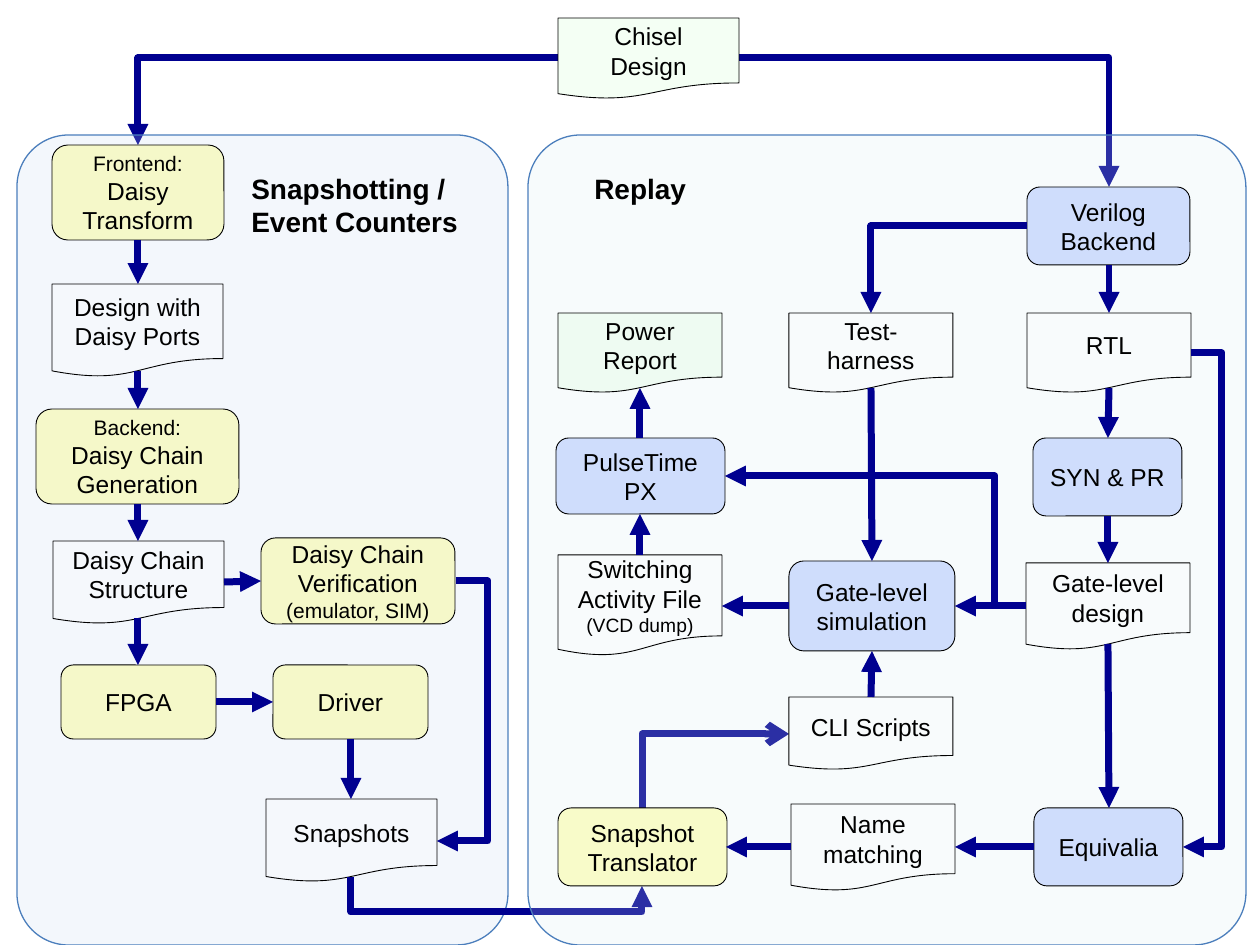
import pptx
import pptx.util
import pptx.dml.color
import pptx.enum.shapes
import pptx.enum.text
import pptx.oxml
import pptx.oxml.ns

EMU_PER_PIXEL = 914400 / 126
SHAPES = pptx.enum.shapes.MSO_SHAPE
ALIGN = pptx.enum.text.PP_ALIGN
ANCHOR = pptx.enum.text.MSO_ANCHOR
YELLOW, BLUE, GREEN, WHITE = "FFFF00", "3366FF", "CCFFCC", "FFFFFF"


def px(length):
    """Turn pixels into EMU."""
    return pptx.util.Emu(round(length * EMU_PER_PIXEL))


def rgb(value):
    """Turn a hex string into a colour."""
    return pptx.dml.color.RGBColor.from_string(value)


def add_xml(parent, tag, **attributes):
    """Append a drawing element with attributes."""
    element = pptx.oxml.parse_xml(f"<a:{tag} {pptx.oxml.ns.nsdecls('a')}/>")
    for key, value in attributes.items():
        element.set(key, str(value))
    parent.append(element)


def write(frame, text, size=14, sizes=None, bold=False, align=ALIGN.CENTER,
          anchor=ANCHOR.MIDDLE):
    """Fill a text frame, one paragraph per line."""
    frame.word_wrap = True
    frame.vertical_anchor = anchor
    lines = text.split("\n")
    for index, line in enumerate(lines):
        paragraph = frame.paragraphs[0] if index == 0 else frame.add_paragraph()
        paragraph.alignment = align
        run = paragraph.add_run()
        run.text = line
        run.font.name = "Arial"
        run.font.size = pptx.util.Pt(sizes[index] if sizes else size)
        run.font.bold = bold
        run.font.color.rgb = rgb("000000")


class FlowSlide:
    """Style and current slide of the flow chart."""

    def __init__(self, slide):
        """Keep the slide and the shared style."""
        self.shapes = slide.shapes
        self.flow_color, self.flow_width = "000090", 4

    def tinted(self, preset, box, fill, line, width):
        """Add an outlined shape with a translucent fill."""
        shape = self.shapes.add_shape(preset, *map(px, box))
        shape.shadow.inherit = False
        shape.fill.solid()
        shape.fill.fore_color.rgb = rgb(fill)
        color = shape._element.spPr.find(".//" + pptx.oxml.ns.qn("a:srgbClr"))
        add_xml(color, "alpha", val=20000)
        shape.line.color.rgb = rgb(line)
        shape.line.width = pptx.util.Pt(width)
        return shape

    def panel(self, box, fill, rounding):
        """Add a large rounded stage panel."""
        shape = self.tinted(SHAPES.ROUNDED_RECTANGLE, box, fill, "4B7EBC", 0.75)
        shape.adjustments[0] = rounding

    def step(self, box, text, fill, sizes=None):
        """Add a rounded processing step."""
        shape = self.tinted(SHAPES.ROUNDED_RECTANGLE, box, fill, "000000", 0.5)
        write(shape.text_frame, text, sizes=sizes)

    def document(self, box, text, fill=WHITE, sizes=None):
        """Add a document produced by a step."""
        shape = self.tinted(SHAPES.FLOWCHART_DOCUMENT, box, fill, "000000", 0.5)
        write(shape.text_frame, text, sizes=sizes)

    def heading(self, box, text):
        """Add a panel heading."""
        label = self.shapes.add_textbox(*map(px, box))
        write(label.text_frame, text, size=16, bold=True, align=ALIGN.LEFT,
              anchor=ANCHOR.TOP)

    def flow(self, *points, head="triangle"):
        """Add an arrow through two to four right-angled points."""
        (x1, y1), (x2, y2) = points[0], points[-1]
        bent = len(points) > 2
        upright = bent and points[1][0] == x1
        kind = pptx.enum.shapes.MSO_CONNECTOR
        begin_end = (x1, y1, x2, y2)
        if upright:
            cx, cy, dx, dy = (x1 + x2) / 2, (y1 + y2) / 2, x2 - x1, y2 - y1
            begin_end = (cx - dy / 2, cy + dx / 2, cx + dy / 2, cy - dx / 2)
        arrow = self.shapes.add_connector(
            kind.ELBOW if bent else kind.STRAIGHT, *map(px, begin_end))
        properties = arrow._element.spPr
        if upright:
            properties.find(pptx.oxml.ns.qn("a:xfrm")).set("rot", "5400000")
        geometry = properties.find(pptx.oxml.ns.qn("a:prstGeom"))
        if len(points) == 3:
            geometry.set("prst", "bentConnector2")
        elif len(points) == 4:
            axis = 1 if upright else 0
            start, turn, stop = points[0][axis], points[1][axis], points[-1][axis]
            guides = geometry.find(pptx.oxml.ns.qn("a:avLst"))
            ratio = round((turn - start) / (stop - start) * 100000)
            add_xml(guides, "gd", name="adj1", fmla=f"val {ratio}")
        arrow.line.color.rgb = rgb(self.flow_color)
        arrow.line.width = pptx.util.Pt(self.flow_width)
        add_xml(arrow.line._get_or_add_ln(), "tailEnd", type=head)
        add_xml(properties, "effectLst")


presentation = pptx.Presentation()
presentation.slide_width, presentation.slide_height = px(1260), px(945)
chart = FlowSlide(presentation.slides.add_slide(presentation.slide_layouts[6]))

chart.flow((739, 58), (1109, 58), (1109, 187))
chart.flow((558, 58), (138, 58), (138, 145))
chart.document((558, 18, 181, 81), "Chisel\nDesign", GREEN)
chart.flow((642, 808), (642, 734), (789, 734), head="arrow")

chart.panel((17, 135, 491, 810), "C6D9F1", 0.105)
chart.heading((239, 165, 244, 81), "Snapshotting / Event Counters")
for box, text, sizes in (
        ((52, 145, 172, 95), "Frontend:\nDaisy Transform", (12, 14)),
        ((36, 409, 203, 95), "Backend:\nDaisy Chain Generation", (12, 14)),
        ((261, 538, 194, 86), "Daisy Chain Verification\n(emulator, SIM)", (14, 12)),
        ((61, 665, 155, 74), "FPGA", None),
        ((273, 665, 155, 74), "Driver", None)):
    chart.step(box, text, YELLOW, sizes)
for box, text in (
        ((52, 284, 171, 93), "Design with Daisy Ports"),
        ((53, 541, 171, 83), "Daisy Chain Structure"),
        ((266, 799, 171, 83), "Snapshots")):
    chart.document(box, text)
for points in (
        ((138, 240), (138, 284)),
        ((138, 371), (138, 409)),
        ((138, 504), (138, 541)),
        ((138, 618), (138, 665)),
        ((224, 582), (261, 581)),
        ((216, 702), (273, 702)),
        ((351, 739), (351, 799)),
        ((456, 581), (488, 581), (488, 841), (437, 841)),
        ((351, 877), (351, 912), (642, 912), (642, 886))):
    chart.flow(*points)

chart.panel((528, 135, 718, 810), "DBEEF4", 0.073)
chart.heading((582, 165, 207, 47), "Replay")
for box, text, fill in (
        ((1027, 187, 163, 78), "Verilog\nBackend", BLUE),
        ((1033, 438, 149, 78), "SYN & PR", BLUE),
        ((789, 561, 166, 90), "Gate-level\nsimulation", BLUE),
        ((556, 438, 169, 76), "PulseTime PX", BLUE),
        ((1034, 808, 149, 78), "Equivalia", BLUE),
        ((558, 808, 169, 78), "Snapshot\nTranslator", YELLOW)):
    chart.step(box, text, fill)
for box, text, fill, sizes in (
        ((558, 313, 164, 80), "Power Report", GREEN, None),
        ((789, 313, 164, 80), "Test-harness", WHITE, None),
        ((1027, 313, 164, 80), "RTL", WHITE, None),
        ((558, 555, 164, 101), "Switching Activity File\n(VCD dump)", WHITE, (14, 11)),
        ((1026, 563, 164, 87), "Gate-level design", WHITE, None),
        ((789, 697, 164, 73), "CLI Scripts", WHITE, None),
        ((791, 804, 164, 87), "Name matching", WHITE, None)):
    chart.document(box, text, fill, sizes)
for points in (
        ((1109, 265), (1109, 313)),
        ((1109, 388), (1108, 438)),
        ((1108, 516), (1108, 563)),
        ((1108, 644), (1109, 808)),
        ((1027, 226), (871, 226), (871, 313)),
        ((871, 388), (872, 561)),
        ((871, 697), (872, 651)),
        ((1026, 606), (955, 606)),
        ((789, 606), (722, 606)),
        ((1034, 847), (955, 847)),
        ((791, 847), (726, 847)),
        ((640, 555), (640, 514)),
        ((640, 438), (640, 388)),
        ((1026, 606), (995, 606), (995, 476), (725, 476)),
        ((1191, 353), (1222, 353), (1222, 847), (1183, 847))):
    chart.flow(*points)

presentation.save("out.pptx")
